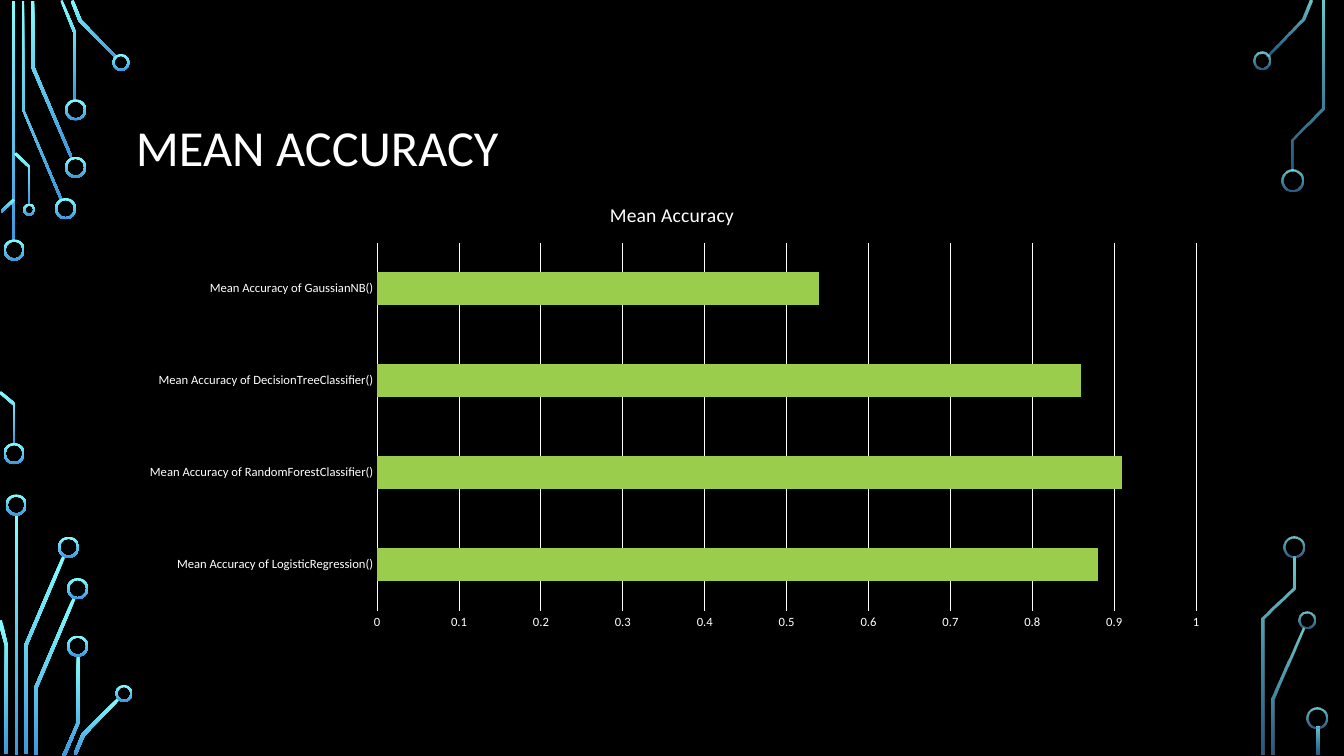
from lxml.etree import SubElement
from pptx import Presentation
from pptx.chart.data import CategoryChartData
from pptx.dml.color import RGBColor
from pptx.enum.chart import XL_CHART_TYPE, XL_TICK_MARK
from pptx.enum.shapes import MSO_SHAPE
from pptx.enum.text import MSO_ANCHOR
from pptx.oxml import parse_xml
from pptx.oxml.ns import nsdecls, qn
from pptx.util import Inches, Pt

BLACK = RGBColor(0x00, 0x00, 0x00)
WHITE = RGBColor(0xFF, 0xFF, 0xFF)
CYAN = RGBColor(0x82, 0xFF, 0xFF)
BLUE = RGBColor(0x3D, 0x97, 0xDE)
GREEN = RGBColor(0x9A, 0xCD, 0x4C)
FONT = "Calibri"

LEFT_BARS = [(0.12, 0.01, 2.39), (0.15, 5.1, 2.39)]
LEFT_RINGS = [
    (0.14, 2.48, 0.21), (0.14, 4.5, 0.21), (0.65, 2.07, 0.21),
    (0.75, 1.66, 0.21), (0.75, 1.09, 0.21), (1.2, 0.62, 0.17),
    (0.29, 2.08, 0.12), (0.16, 5.01, 0.21), (0.68, 5.43, 0.21),
    (0.77, 5.84, 0.21), (0.77, 6.41, 0.21), (1.23, 6.88, 0.17),
]
LEFT_WIRES = [
    [(0.6, 1.99), (0.22, 1.09), (0.22, 0.01), (0.24, 0.01), (0.24, 1.09), (0.62, 1.98)],
    [(0.7, 1.57), (0.31, 0.67), (0.31, 0.01), (0.34, 0.01), (0.34, 0.66), (0.72, 1.56)],
    [(0.76, 1), (0.73, 1), (0.73, 0.33), (0.6, 0.01), (0.62, 0), (0.76, 0.33)],
    [(1.15, 0.58), (0.78, 0.21), (0.7, 0.01), (0.73, 0), (0.81, 0.2), (1.16, 0.56)],
    [(0.02, 2.11), (0.01, 2.09), (0.13, 1.97), (0.15, 1.99)],
    [(0.15, 4.41), (0.13, 4.41), (0.13, 4.02), (-0.01, 3.9), (0.01, 3.88), (0.15, 4)],
    [(0.3, 2.03), (0.28, 2.03), (0.28, 1.66), (0.14, 1.53), (0.16, 1.51), (0.3, 1.65)],
    [(0.27, 7.48), (0.24, 7.48), (0.24, 6.4), (0.62, 5.51), (0.65, 5.52), (0.27, 6.41)],
    [(0.08, 7.48), (0.05, 7.48), (0.05, 6.41), (-0.02, 6.16), (0.02, 6.15), (0.08, 6.41)],
    [(0.37, 7.49), (0.34, 7.49), (0.34, 6.82), (0.72, 5.93), (0.75, 5.94), (0.37, 6.83)],
    [(0.65, 7.5), (0.62, 7.49), (0.76, 7.17), (0.76, 6.5), (0.79, 6.5), (0.79, 7.17)],
    [(0.76, 7.49), (0.73, 7.48), (0.81, 7.28), (1.17, 6.92), (1.19, 6.94), (0.84, 7.3)],
]
RIGHT_BARS = [(13.06, 7.21, 0.28)]
RIGHT_RINGS = [
    (12.52, 0.6, 0.17), (12.82, 1.79, 0.21), (12.96, 6.15, 0.17),
    (12.83, 5.43, 0.21), (13.06, 7.12, 0.21),
]
RIGHT_WIRES = [
    [(12.58, 0.56), (12.56, 0.55), (12.91, 0.19), (12.99, 0), (13.02, 0.01), (12.94, 0.2)],
    [(12.64, 7.49), (12.61, 7.49), (12.61, 6.93), (12.92, 6.23), (12.94, 6.24), (12.64, 6.94)],
    [(12.83, 1.69), (12.81, 1.69), (12.81, 1.38), (13.11, 1.07), (13.11, 0.01),
     (13.14, 0.01), (13.14, 1.08), (12.83, 1.39)],
    [(12.54, 7.49), (12.51, 7.49), (12.51, 6.13), (12.82, 5.83), (12.82, 5.52),
     (12.85, 5.52), (12.85, 5.84), (12.54, 6.14)],
]


def paint(shape, alphas):
    shape.shadow.inherit = False
    shape.line.fill.background()
    shape.fill.gradient()
    shape.fill.gradient_angle = 270
    for stop, color, place, alpha in zip(shape.fill.gradient_stops, (CYAN, BLUE), (0, 1), alphas):
        stop.color.rgb = color
        stop.position = place
    for tone, alpha in zip(shape._element.spPr.iter(qn("a:srgbClr")), alphas):
        if alpha < 100:
            SubElement(tone, qn("a:alpha")).set("val", str(alpha * 1000))


def style(font, size):
    font.name = FONT
    font.size = Pt(size)
    font.bold = False
    font.color.rgb = WHITE


deck = Presentation()
deck.slide_width = Inches(13.33)
deck.slide_height = Inches(7.5)
slide = deck.slides.add_slide(deck.slide_layouts[6])
slide.background.fill.solid()
slide.background.fill.fore_color.rgb = BLACK
shapes = slide.shapes

for bars, rings, wires, alphas in (
    (LEFT_BARS, LEFT_RINGS, LEFT_WIRES, (100, 100)),
    (RIGHT_BARS, RIGHT_RINGS, RIGHT_WIRES, (80, 60)),
):
    for left, top, height in bars:
        bar = shapes.add_shape(
            MSO_SHAPE.RECTANGLE, Inches(left), Inches(top), Inches(0.03), Inches(height))
        paint(bar, alphas)
    for wire in wires:
        points = [(Inches(x), Inches(y)) for x, y in wire]
        pen = shapes.build_freeform(*points[0])
        pen.add_line_segments(points[1:], close=True)
        paint(pen.convert_to_shape(), alphas)
    for x, y, size in rings:
        ring = shapes.add_shape(
            MSO_SHAPE.DONUT, Inches(x - size / 2), Inches(y - size / 2), Inches(size), Inches(size))
        ring.adjustments[0] = 0.02 / size
        paint(ring, alphas)

title = shapes.add_textbox(Inches(1.25), Inches(0.68), Inches(10.83), Inches(1.62))
frame = title.text_frame
frame.word_wrap = True
frame.vertical_anchor = MSO_ANCHOR.MIDDLE
line = frame.paragraphs[0]
line.line_spacing = 0.9
run = line.add_run()
run.text = "MEAN ACCURACY"
style(run.font, 36)

data = CategoryChartData()
data.categories = [
    f"Mean Accuracy of {model}()" for model in (
        "LogisticRegression", "RandomForestClassifier", "DecisionTreeClassifier", "GaussianNB")
]
data.add_series("Series 1", (0.88, 0.91, 0.86, 0.54))
chart = shapes.add_chart(
    XL_CHART_TYPE.BAR_CLUSTERED, Inches(1.25), Inches(1.82), Inches(10.83), Inches(4.51), data).chart
style(chart.font, 10)
chart.has_legend = False
chart.has_title = True
run = chart.chart_title.text_frame.paragraphs[0].add_run()
run.text = "Mean Accuracy"
style(run.font, 14)
chart.chart_title.include_in_layout = False

plot = chart.plots[0]
plot.gap_width = 182
plot.vary_by_categories = False
fill = plot.series[0].format.fill
fill.solid()
fill.fore_color.rgb = GREEN

models, scores = chart.category_axis, chart.value_axis
for axis in (models, scores):
    style(axis.tick_labels.font, 9)
    axis.major_tick_mark = XL_TICK_MARK.NONE
    axis.minor_tick_mark = XL_TICK_MARK.NONE
scores.minimum_scale = 0
scores.maximum_scale = 1
scores.major_unit = 0.1
scores.has_major_gridlines = True
scores.format.line.fill.background()
for rule in (models.format.line, scores.major_gridlines.format.line):
    rule.color.rgb = WHITE
    rule.width = Pt(0.75)

area = chart._chartSpace.chart.plotArea
for old in area.findall(qn("c:layout")):
    area.remove(old)
layout = parse_xml(f"<c:layout {nsdecls('c')}><c:manualLayout/></c:layout>")
for tag, val in (("layoutTarget", "inner"), ("xMode", "edge"), ("yMode", "edge"),
                 ("x", "0.23"), ("y", "0.13"), ("w", "0.75"), ("h", "0.81")):
    SubElement(layout[0], qn(f"c:{tag}")).set("val", val)
area.insert(0, layout)

deck.save("out.pptx")
